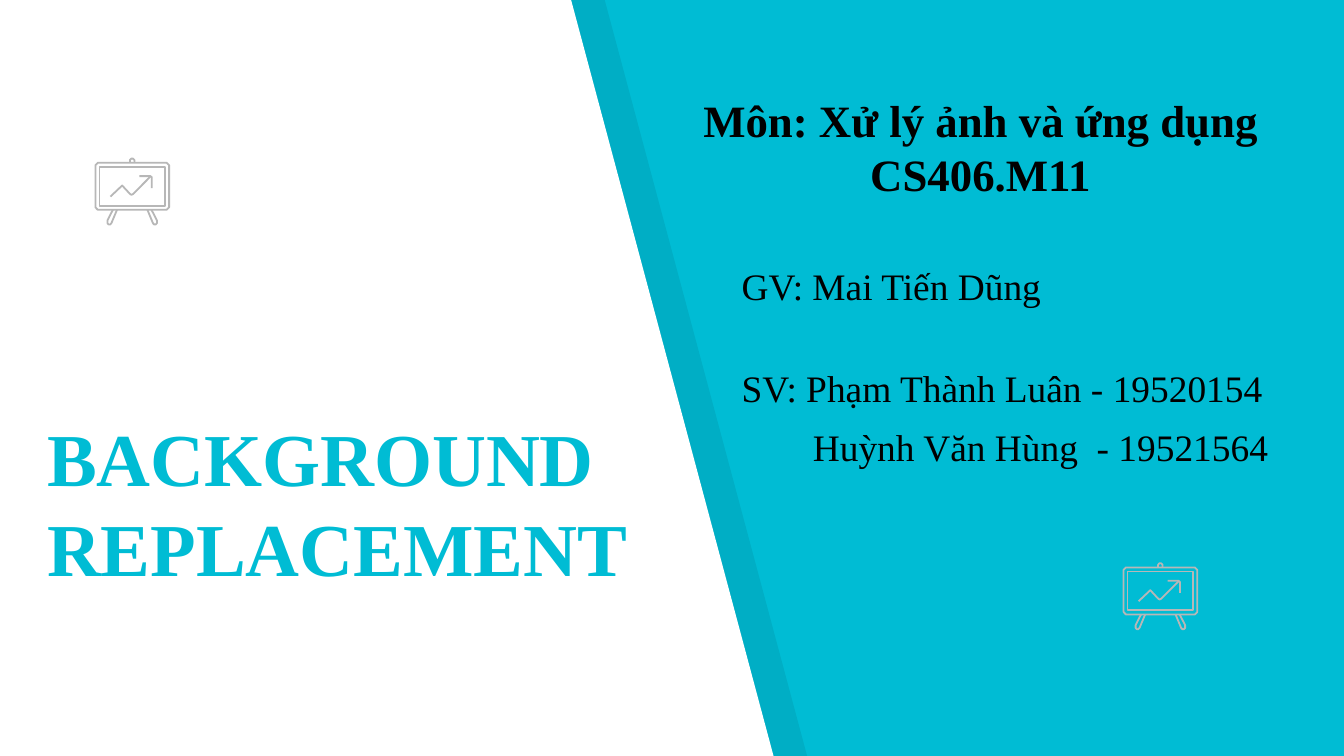
from dataclasses import dataclass

from pptx import Presentation
from pptx.dml.color import RGBColor
from pptx.enum.text import MSO_ANCHOR, MSO_AUTO_SIZE, PP_ALIGN
from pptx.oxml import parse_xml
from pptx.oxml.ns import nsdecls, qn
from pptx.shapes.freeform import FreeformBuilder
from pptx.shapes.autoshape import Shape
from pptx.util import Pt

CYAN = RGBColor(0x00, 0xBC, 0xD4)
WHITE = RGBColor(0xFF, 0xFF, 0xFF)
BLACK = RGBColor(0x00, 0x00, 0x00)
GRAY = RGBColor(0xB7, 0xB7, 0xB7)
FONT = "Times New Roman"
LEFT, CENTER = PP_ALIGN.LEFT, PP_ALIGN.CENTER
TOP, BOTTOM = MSO_ANCHOR.TOP, MSO_ANCHOR.BOTTOM
NO_AUTOFIT = MSO_AUTO_SIZE.NONE
TITLE_ONLY = 5

Point = tuple[float, float]


@dataclass(frozen=True)
class Outline:
    points: list[Point]
    closed: bool = False


@dataclass(frozen=True)
class Caption:
    text: str
    left: float
    top: float
    width: float
    height: float
    size: float = 20
    bold: bool = False
    align: PP_ALIGN = LEFT


ICON_WIDTH = 39.5
LEFT_LEG = [(9.4, 27.4), (6.5, 33.1), (6.5, 34.6), (7.2, 35.3),
            (7.9, 35.3), (8.6, 34.6), (11.6, 27.4)]
RIGHT_LEG = [(ICON_WIDTH - x, y) for x, y in LEFT_LEG]

EASEL = [
    Outline([(1.3, 2.2), (38.2, 2.2), (39.5, 3.5), (39.5, 26.1), (38.2, 27.4),
             (1.3, 27.4), (0, 26.1), (0, 3.5)], closed=True),
    Outline([(20.9, 2.2), (20.9, 0.8), (20.2, 0), (19.2, 0), (18.5, 0.8), (18.5, 2.2)]),
    Outline(LEFT_LEG),
    Outline(RIGHT_LEG),
    Outline([(2.2, 4.4), (37.3, 4.4), (37.3, 25.2), (2.2, 25.2)], closed=True),
    Outline([(29.6, 9.5), (20.2, 19), (19.4, 19.4), (18.7, 19), (14.4, 14.4), (8.1, 20.3)]),
    Outline([(23.6, 9.4), (29.6, 9.4), (30.2, 10), (30.2, 15.8)]),
]
EASEL_POSITIONS = [(51.1, 85), (601.9, 301.8)]

CAPTIONS = [
    Caption("GV: Mai Tiến Dũng", 390.2, 137.5, 250.5, 31.5),
    Caption("Môn: Xử lý ảnh và ứng dụng CS406.M11", 343.4, 46.1, 363.6, 65.4,
            size=24, bold=True, align=CENTER),
    Caption("SV: Phạm Thành Luân - 19520154", 390.2, 192.2, 300.2, 31.5),
    Caption("Huỳnh Văn Hùng  - 19521564", 428.4, 223.9, 266.4, 31.5),
]


def add_outline(shapes, outline: Outline, left: float = 0, top: float = 0) -> Shape:
    points = [(Pt(left + x), Pt(top + y)) for x, y in outline.points]
    builder: FreeformBuilder = shapes.build_freeform(*points[0])
    builder.add_line_segments(points[1:], close=outline.closed)
    shape = builder.convert_to_shape()
    shape.shadow.inherit = False
    return shape


def add_panel(shapes, right_shift: float, color: RGBColor) -> Shape:
    """Draw the slanted left panel, moved to the right by right_shift."""
    corners = [(0, -0.7), (-0.7, 406), (414.7, 406), (306, 0)]
    panel = add_outline(shapes, Outline(corners, closed=True), left=right_shift)
    panel.fill.solid()
    panel.fill.fore_color.rgb = color
    panel.line.fill.background()
    return panel


def set_opacity(shape: Shape, percent: int) -> None:
    color = shape.fill._xPr.find(qn("a:solidFill"))[0]
    color.append(parse_xml(f'<a:alpha {nsdecls("a")} val="{percent * 1000}"/>'))


def add_easel(shapes, left: float, top: float) -> None:
    group = shapes.add_group_shape()
    for outline in EASEL:
        shape = add_outline(group.shapes, outline, left, top)
        shape.fill.background()
        shape.line.color.rgb = GRAY
        shape.line.width = Pt(0.96)


def write_text(shape: Shape, text: str, *, size: float, color: RGBColor,
               bold: bool = False, align: PP_ALIGN = LEFT,
               anchor: MSO_ANCHOR = TOP, vertical_inset: float = 3.6) -> None:
    frame = shape.text_frame
    frame.word_wrap = True
    frame.auto_size = NO_AUTOFIT
    frame.vertical_anchor = anchor
    frame.margin_left = frame.margin_right = Pt(7.2)
    frame.margin_top = frame.margin_bottom = Pt(vertical_inset)
    paragraph = frame.paragraphs[0]
    paragraph.alignment = align
    run = paragraph.add_run()
    run.text = text
    run.font.name = FONT
    run.font.size = Pt(size)
    run.font.bold = bold
    run.font.color.rgb = color


def add_caption(shapes, caption: Caption) -> None:
    box = shapes.add_textbox(Pt(caption.left), Pt(caption.top),
                             Pt(caption.width), Pt(caption.height))
    write_text(box, caption.text, size=caption.size, color=BLACK,
               bold=caption.bold, align=caption.align)


def main() -> None:
    presentation = Presentation()
    presentation.slide_width, presentation.slide_height = Pt(720), Pt(405)
    slide = presentation.slides.add_slide(presentation.slide_layouts[TITLE_ONLY])
    slide.background.fill.solid()
    slide.background.fill.fore_color.rgb = CYAN
    shapes = slide.shapes

    set_opacity(add_panel(shapes, 18, BLACK), 7)
    add_panel(shapes, 0, WHITE)

    title = shapes.title
    title.left, title.top, title.width, title.height = Pt(18), Pt(218.2), Pt(363.6), Pt(105.8)
    write_text(title, "BACKGROUND REPLACEMENT", size=40, color=CYAN, bold=True,
               anchor=BOTTOM, vertical_inset=7.2)
    shapes._spTree.append(title._element)

    for left, top in EASEL_POSITIONS:
        add_easel(shapes, left, top)
    for caption in CAPTIONS:
        add_caption(shapes, caption)

    presentation.save("out.pptx")


if __name__ == "__main__":
    main()
